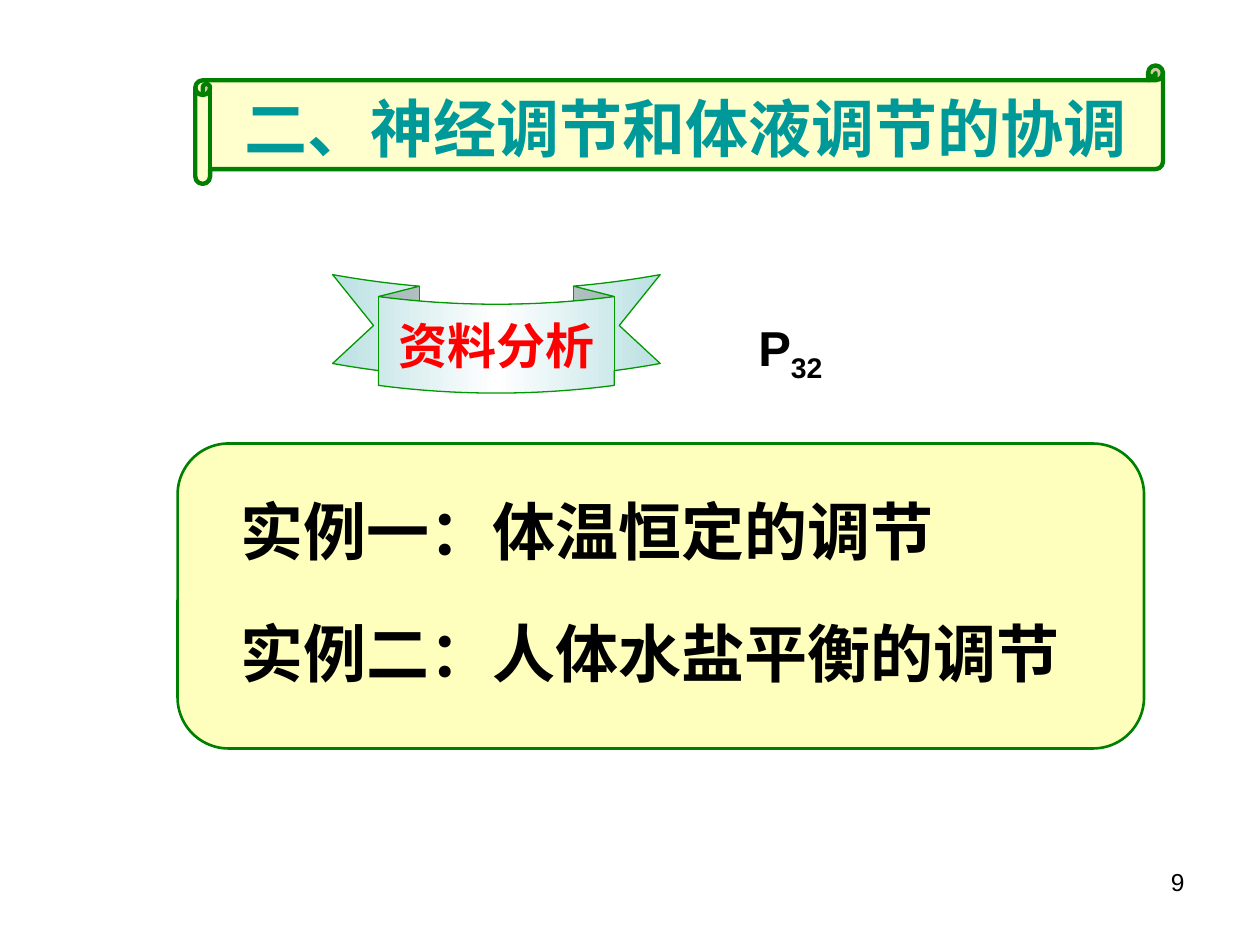
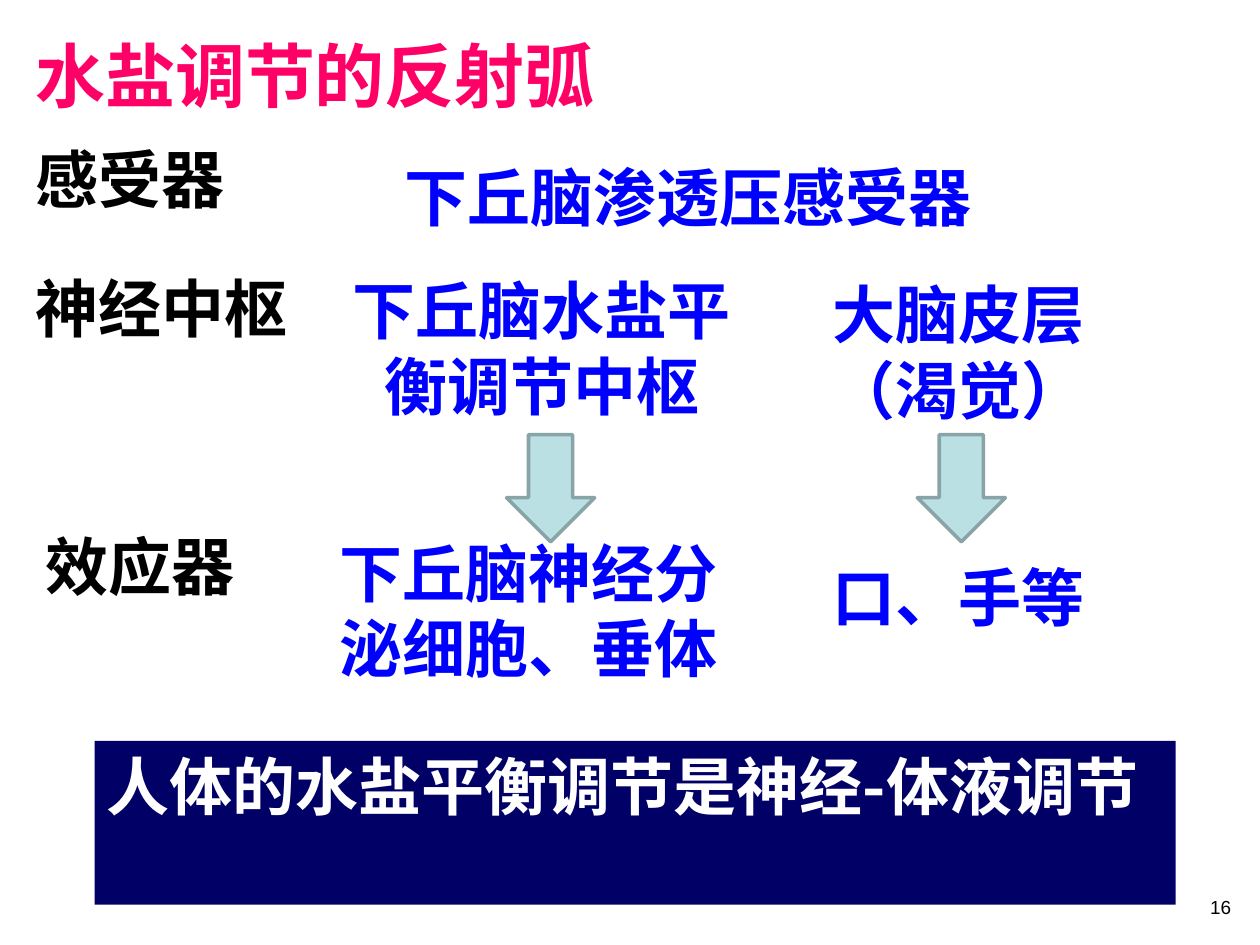
"""Build two slides on neural and humoral regulation."""
from copy import deepcopy

from lxml import etree
from pptx import Presentation
from pptx.dml.color import RGBColor
from pptx.enum.shapes import MSO_SHAPE
from pptx.enum.text import MSO_ANCHOR, MSO_AUTO_SIZE, PP_ALIGN
from pptx.oxml.ns import qn
from pptx.util import Inches, Pt

LEFT, CENTER, RIGHT = PP_ALIGN.LEFT, PP_ALIGN.CENTER, PP_ALIGN.RIGHT
TOP, MIDDLE = MSO_ANCHOR.TOP, MSO_ANCHOR.MIDDLE
NO_FIT = MSO_AUTO_SIZE.NONE
SCROLL, ROUNDED = MSO_SHAPE.HORIZONTAL_SCROLL, MSO_SHAPE.ROUNDED_RECTANGLE
RIBBON, ARROW = MSO_SHAPE.CURVED_DOWN_RIBBON, MSO_SHAPE.DOWN_ARROW
RECT = MSO_SHAPE.RECTANGLE
ARIAL, CJK_JP, CJK_SC = "Arial", "Noto Sans CJK JP", "Noto Sans CJK SC"
BLACK, WHITE, BLUE, RED = "000000", "FFFFFF", "0000FF", "FF0000"
TEAL, PINK, NAVY = "009999", "FF0066", "000066"
GREEN, RIBBON_GREEN, PALE_TEAL, GREY_TEAL = "008000", "009900", "BBE0E3", "89A4A7"
CREAM, YELLOW = "FFFFCD", "FFFFBD"
rgb = RGBColor.from_string


def write(sp, text, size=36, color=BLACK, font=ARIAL, align=LEFT, anchor=TOP, bold=True):
    """Put one formatted paragraph into a shape and return it."""
    tf = sp.text_frame
    tf.text = text
    tf.word_wrap = True
    tf.auto_size = NO_FIT
    tf.vertical_anchor = anchor
    p = tf.paragraphs[0]
    p.alignment = align
    f = p.runs[0].font
    f.name, f.size, f.bold = font, Pt(size), bold
    f.color.rgb = rgb(color)
    ea = etree.SubElement(p.runs[0]._r.get_or_add_rPr(), qn("a:ea"))
    ea.set("typeface", CJK_SC if font == ARIAL else font)
    return p


def add_shape(s, kind, box, fill, line=None, width=1, adj=()):
    """Add a flat preset shape with the given fill and outline."""
    sp = s.shapes.add_shape(kind, *map(Inches, box))
    sp.shadow.inherit = False
    for i, value in enumerate(adj):
        sp.adjustments[i] = value
    sp.fill.solid()
    sp.fill.fore_color.rgb = rgb(fill)
    if line:
        sp.line.color.rgb = rgb(line)
        sp.line.width = Pt(width)
    else:
        sp.line.fill.background()
    return sp


prs = Presentation()
prs.slide_width, prs.slide_height = Inches(10), Inches(7.5)
slides = []
for title, box, size, color, font, align, anchor, number, number_box, number_size in [
    ("二、神经调节和体液调节的协调", (1.55, 0.54, 7.78, 0.94), 36, TEAL, CJK_JP, CENTER, MIDDLE,
     "9", (7.17, 6.83, 2.33, 0.52), 14),
    ("水盐调节的反射弧", (0.18, 0.21, 6.33, 0.77), 40, PINK, CJK_SC, LEFT, TOP,
     "16", (9.02, 7.06, 0.85, 0.29), 10.8),
]:
    s = prs.slides.add_slide(prs.slide_layouts[5])
    if not slides:
        scroll = add_shape(s, SCROLL, (1.55, 0.52, 7.68, 0.94), CREAM, GREEN, 2.5, [0.125])
        s.shapes._spTree.insert(2, scroll._element)
    sp = s.shapes.title
    sp.left, sp.top, sp.width, sp.height = map(Inches, box)
    write(sp, title, size, color, font, align, anchor)
    sp = s.shapes.add_textbox(*map(Inches, number_box))
    write(sp, number, number_size, align=RIGHT, bold=False)
    slides.append(s)

s = slides[0]
add_shape(s, ROUNDED, (1.41, 3.52, 7.67, 2.42), YELLOW, GREEN, 1.5, [0.167])
for i, example in enumerate(["实例一：体温恒定的调节", "实例二：人体水盐平衡的调节"]):
    sp = s.shapes.add_textbox(*map(Inches, (1.81, 3.86 + 0.97 * i, 6.86, 0.7)))
    write(sp, example)

ribbon = add_shape(s, RIBBON, (2.64, 2.18, 2.6, 0.94), PALE_TEAL, RIBBON_GREEN, 0.75,
                   [0.25, 0.72, 0.125])
ribbon.fill.gradient()
ribbon.fill.gradient_angle = 0
stop_list = ribbon._element.spPr.find(qn("a:gradFill")).find(qn("a:gsLst"))
stop_list.append(deepcopy(stop_list[0]))
for stop, position, color in zip(ribbon.fill.gradient_stops, (0, 0.5, 1),
                                 (PALE_TEAL, WHITE, PALE_TEAL)):
    stop.position = position
    stop.color.rgb = rgb(color)
write(ribbon, "资料分析", 28, RED, align=CENTER, anchor=MIDDLE)

sp = s.shapes.add_textbox(*map(Inches, (5.92, 2.47, 0.8, 0.63)))
p = write(sp, "P", 28)
r = p.add_run()
r.text = "32"
r.font.name, r.font.size, r.font.bold = ARIAL, Pt(28), True
r.font.color.rgb = rgb(BLACK)
r._r.get_or_add_rPr().set("baseline", "-25000")

s = slides[1]
for left in (4.02, 7.28):
    add_shape(s, ARROW, (left, 3.45, 0.7, 0.85), PALE_TEAL, GREY_TEAL, 2, [0.5, 0.5])
for text, box, color, font, align in [
    ("感受器", (0.18, 1.07, 2.4, 0.7), BLACK, CJK_JP, LEFT),
    ("神经中枢", (0.18, 2.09, 2.4, 0.7), BLACK, CJK_JP, LEFT),
    ("效应器", (0.26, 4.14, 1.8, 0.7), BLACK, CJK_JP, LEFT),
    ("下丘脑渗透压感受器", (3.11, 1.21, 6, 0.7), BLUE, ARIAL, LEFT),
    ("下丘脑水盐平衡调节中枢", (2.64, 2.11, 3.32, 1.3), BLUE, ARIAL, CENTER),
    ("大脑皮层（渴觉）", (6.51, 2.14, 2.24, 1.3), BLUE, ARIAL, LEFT),
    ("下丘脑神经分泌细胞、垂体", (2.6, 4.19, 3.54, 1.3), BLUE, ARIAL, LEFT),
    ("口、手等", (6.51, 4.38, 2.37, 0.7), BLUE, ARIAL, LEFT),
]:
    sp = s.shapes.add_textbox(*map(Inches, box))
    write(sp, text, color=color, font=font, align=align)
banner = add_shape(s, RECT, (0.75, 5.88, 8.58, 1.3), NAVY)
write(banner, "人体的水盐平衡调节是神经-体液调节", color=WHITE, font=CJK_SC)

prs.save("out.pptx")
